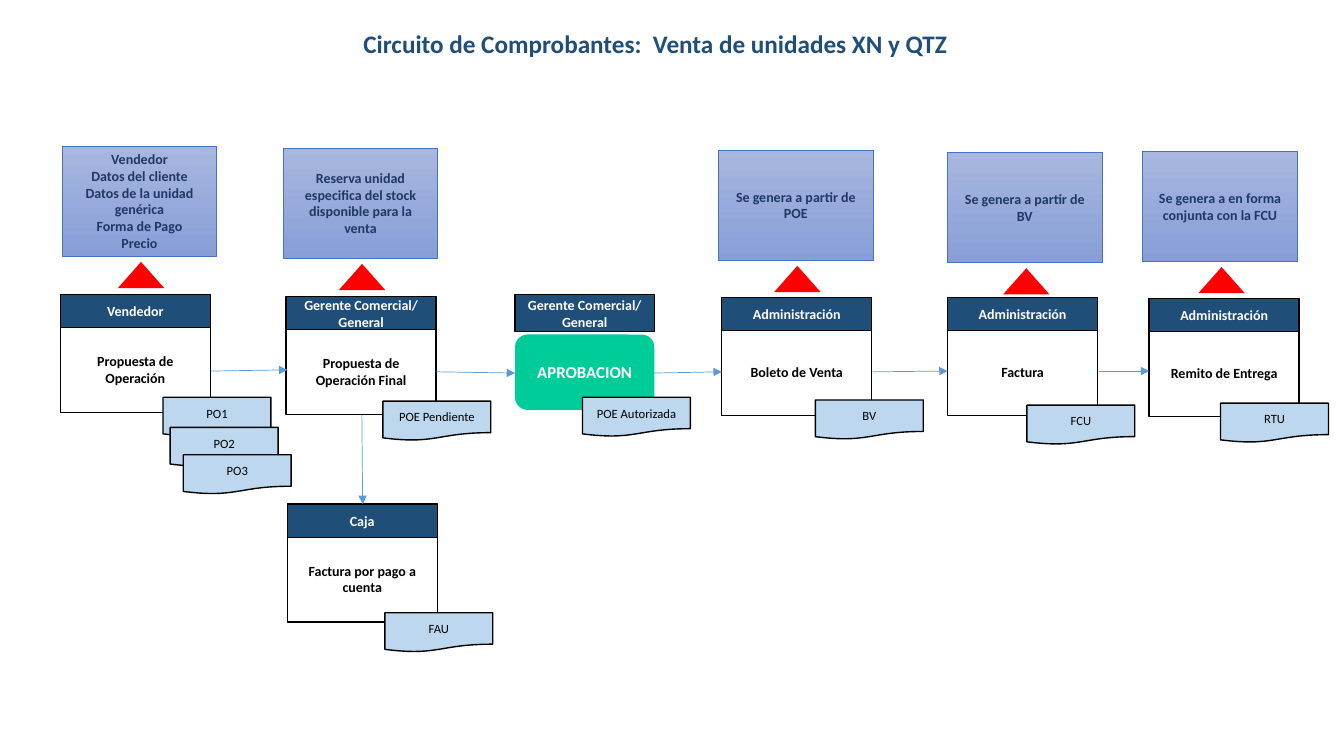
from dataclasses import dataclass

from lxml import etree
from pptx import Presentation
from pptx import util as u
from pptx.dml.color import RGBColor
from pptx.enum import shapes, text
from pptx.oxml import ns

NAVY = RGBColor(0x1F, 0x4E, 0x79)
NOTE_TEXT = RGBColor(0x20, 0x38, 0x64)
NOTE_TOP = RGBColor(0xA8, 0xB7, 0xDF)
NOTE_BOTTOM = RGBColor(0x88, 0x9E, 0xD7)
NOTE_LINE = RGBColor(0x44, 0x72, 0xC4)
ARROW_BLUE = RGBColor(0x5B, 0x9B, 0xD5)
PALE_BLUE = RGBColor(0xBD, 0xD7, 0xEE)
GREEN = RGBColor(0x00, 0xCC, 0x99)
RED = RGBColor(0xFF, 0x00, 0x00)
BLACK = RGBColor(0x00, 0x00, 0x00)
WHITE = RGBColor(0xFF, 0xFF, 0xFF)

FONT = "Calibri"
KIND = shapes.MSO_SHAPE


@dataclass(frozen=True)
class Box:
    left: float
    top: float
    width: float
    height: float


@dataclass(frozen=True)
class Step:
    left: float
    top: float
    role: str
    task: str


@dataclass(frozen=True)
class Label:
    left: float
    top: float
    caption: str


@dataclass(frozen=True)
class Arrow:
    start: tuple[float, float]
    end: tuple[float, float]


STEPS = [
    Step(1.52, 7.42, "Vendedor", "Propuesta de Operación"),
    Step(7.21, 7.47, "Gerente Comercial/ General", "Propuesta de Operación Final"),
    Step(18.19, 7.49, "Administración", "Boleto de Venta"),
    Step(23.88, 7.49, "Administración", "Factura"),
    Step(28.96, 7.52, "Administración", "Remito de Entrega"),
    Step(7.24, 12.7, "Caja", "Factura por pago a cuenta"),
]
NOTES = [
    Label(1.57, 3.68, "Vendedor\nDatos del cliente\nDatos de la unidad genérica\nForma de Pago\nPrecio"),
    Label(7.14, 3.73, "Reserva unidad especifica del stock disponible para la venta"),
    Label(18.11, 3.78, "Se genera a partir de POE"),
    Label(23.88, 3.84, "Se genera a partir de BV"),
    Label(28.8, 3.81, "Se genera a en forma conjunta con la FCU"),
]
DOCUMENTS = [
    Label(4.11, 10.01, "PO1"),
    Label(4.29, 10.77, "PO2"),
    Label(4.62, 11.46, "PO3"),
    Label(9.65, 10.11, "POE Pendiente"),
    Label(14.68, 10.01, "POE Autorizada"),
    Label(20.55, 10.08, "BV"),
    Label(25.88, 10.21, "FCU"),
    Label(30.76, 10.16, "RTU"),
    Label(9.7, 15.44, "FAU"),
]
ARROWS = [
    Arrow((5.31, 9.35), (7.24, 9.32)),
    Arrow((11, 9.37), (12.98, 9.4)),
    Arrow((16.48, 9.4), (18.19, 9.37)),
    Arrow((22, 9.37), (23.88, 9.35)),
    Arrow((27.69, 9.35), (28.96, 9.35)),
    Arrow((9.12, 10.46), (9.14, 12.7)),
]


def write(shape, caption: str, size: float, color: RGBColor, bold: bool = True) -> None:
    frame = shape.text_frame
    frame.word_wrap = True
    frame.text = caption
    for paragraph in frame.paragraphs:
        paragraph.alignment = text.PP_ALIGN.CENTER
        for run in paragraph.runs:
            run.font.name = FONT
            run.font.size = u.Pt(size)
            run.font.bold = bold
            run.font.color.rgb = color


def add_box(slide, kind: KIND, box: Box, fill: RGBColor,
            line: RGBColor | None = BLACK, line_width: float = 1):
    shape = slide.shapes.add_shape(
        kind, u.Cm(box.left), u.Cm(box.top), u.Cm(box.width), u.Cm(box.height))
    shape.shadow.inherit = False
    shape.fill.solid()
    shape.fill.fore_color.rgb = fill
    if line is None:
        shape.line.fill.background()
    else:
        shape.line.color.rgb = line
        shape.line.width = u.Pt(line_width)
    shape.text_frame.vertical_anchor = text.MSO_ANCHOR.MIDDLE
    return shape


def add_title(slide, caption: str) -> None:
    title = slide.shapes.add_textbox(u.Cm(5.66), u.Cm(0.58), u.Cm(21.72), u.Cm(1.02))
    write(title, caption, 18, NAVY)


def add_step(slide, step: Step) -> None:
    task = add_box(slide, KIND.RECTANGLE, Box(step.left, step.top + 0.8, 3.78, 2.18), WHITE)
    write(task, step.task, 10, BLACK)
    role = add_box(slide, KIND.RECTANGLE, Box(step.left, step.top, 3.78, 0.84), NAVY)
    write(role, step.role, 10, WHITE)


def add_approval(slide) -> None:
    approval = add_box(slide, KIND.ROUNDED_RECTANGLE, Box(12.98, 8.43, 3.51, 1.9), GREEN, None)
    write(approval, "APROBACION", 12, WHITE)
    role = add_box(slide, KIND.RECTANGLE, Box(12.98, 7.42, 3.51, 0.94), NAVY)
    write(role, "Gerente Comercial/ General", 10, WHITE)


def add_note(slide, note: Label) -> None:
    shape = add_box(slide, KIND.RECTANGLE, Box(note.left, note.top, 3.89, 2.77),
                    NOTE_TOP, NOTE_LINE, 0.5)
    shape.fill.gradient()
    shape.fill.gradient_angle = 270
    for stop, color in zip(shape.fill.gradient_stops, (NOTE_TOP, NOTE_BOTTOM)):
        stop.color.rgb = color
    write(shape, note.caption, 10, NOTE_TEXT)
    add_box(slide, KIND.ISOSCELES_TRIANGLE,
            Box(note.left + 1.4, note.top + 2.92, 1.17, 0.66), RED, None)


def add_document(slide, document: Label) -> None:
    shape = add_box(slide, KIND.FLOWCHART_DOCUMENT,
                    Box(document.left, document.top, 2.72, 0.99), PALE_BLUE)
    write(shape, document.caption, 9, BLACK, bold=False)


def add_arrow(slide, arrow: Arrow) -> None:
    connector = slide.shapes.add_connector(
        shapes.MSO_CONNECTOR.STRAIGHT, *map(u.Cm, arrow.start + arrow.end))
    connector.line.color.rgb = ARROW_BLUE
    connector.line.width = u.Pt(0.5)
    etree.SubElement(connector.line._get_or_add_ln(), ns.qn("a:tailEnd"), type="triangle")
    etree.SubElement(connector._element.spPr, ns.qn("a:effectLst"))


def main() -> None:
    presentation = Presentation()
    presentation.slide_width = u.Cm(33.87)
    presentation.slide_height = u.Cm(19.05)
    slide = presentation.slides.add_slide(presentation.slide_layouts[6])
    add_title(slide, "Circuito de Comprobantes:  Venta de unidades XN y QTZ")
    for step in STEPS:
        add_step(slide, step)
    add_approval(slide)
    for note in NOTES:
        add_note(slide, note)
    for arrow in ARROWS:
        add_arrow(slide, arrow)
    for document in DOCUMENTS:
        add_document(slide, document)
    presentation.save("out.pptx")


main()
